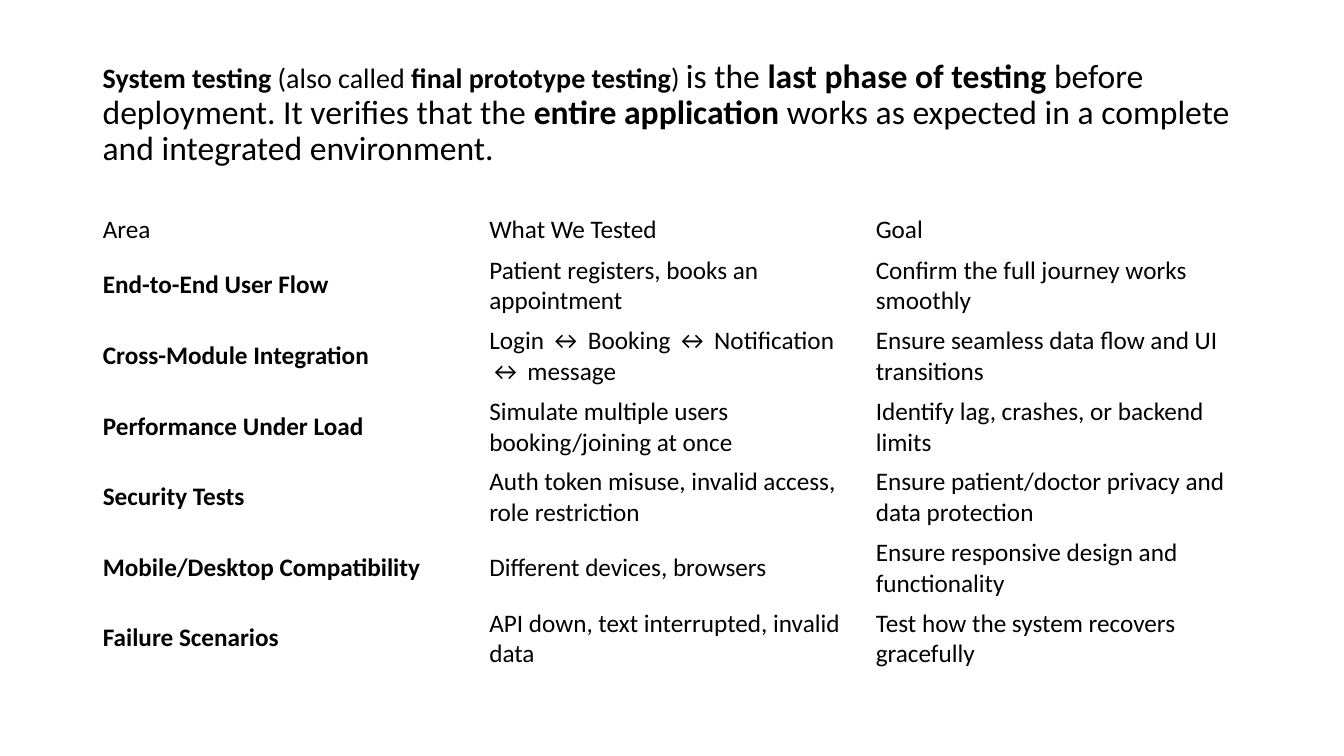
from pptx import Presentation
from pptx.dml.color import RGBColor
from pptx.enum.text import MSO_ANCHOR as Anchor
from pptx.util import Inches, Pt

COLORS = {"text": "000000"}
FONT = "Calibri"
LEFT, WIDTH = 0.92, 11.5
HEADER_HEIGHT, AREA_HEIGHT = 0.38, 0.66

INTRO = [  # text, size, bold
    ("System testing", 20, True),
    (" (also called ", 20, False),
    ("final prototype testing", 20, True),
    (") ", 20, False),
    ("is the ", 24, False),
    ("last phase of testing", 24, True),
    (" before deployment. It verifies that the ", 24, False),
    ("entire application", 24, True),
    (" works as expected in a complete and integrated environment.", 24, False),
]
TEST_AREAS = [
    ("Area", "What We Tested", "Goal"),
    ("End-to-End User Flow", "Patient registers, books an appointment",
     "Confirm the full journey works smoothly"),
    ("Cross-Module Integration", "Login ↔ Booking ↔ Notification ↔ message",
     "Ensure seamless data flow and UI transitions"),
    ("Performance Under Load", "Simulate multiple users booking/joining at once",
     "Identify lag, crashes, or backend limits"),
    ("Security Tests", "Auth token misuse, invalid access, role restriction",
     "Ensure patient/doctor privacy and data protection"),
    ("Mobile/Desktop Compatibility", "Different devices, browsers",
     "Ensure responsive design and functionality"),
    ("Failure Scenarios", "API down, text interrupted, invalid data",
     "Test how the system recovers gracefully"),
]


def style(font, size, bold):
    font.name, font.size, font.bold = FONT, Pt(size), bold
    font.color.rgb = RGBColor.from_string(COLORS["text"])


deck = Presentation()
deck.slide_width, deck.slide_height = Inches(13.33), Inches(7.5)
slide = deck.slides.add_slide(deck.slide_layouts[6])

# Introduction
intro = slide.shapes.add_textbox(
    Inches(LEFT), Inches(0.4), Inches(WIDTH), Inches(1.45)).text_frame
intro.word_wrap = True
intro.vertical_anchor = Anchor.MIDDLE
sentence = intro.paragraphs[0]
sentence.line_spacing = 0.9
for words, size, bold in INTRO:
    run = sentence.add_run()
    run.text = words
    style(run.font, size, bold)

# Table of test areas, without banding or fills
row_count, column_count = len(TEST_AREAS), len(TEST_AREAS[0])
table_height = HEADER_HEIGHT + (row_count - 1) * AREA_HEIGHT
areas = slide.shapes.add_table(
    row_count, column_count, Inches(LEFT), Inches(2.08),
    Inches(WIDTH), Inches(table_height)).table
areas.first_row = areas.horz_banding = False
for r, entries in enumerate(TEST_AREAS):
    areas.rows[r].height = Inches(AREA_HEIGHT if r else HEADER_HEIGHT)
    for c, entry in enumerate(entries):
        cell = areas.cell(r, c)
        cell.text = entry
        cell.fill.background()
        cell.vertical_anchor = Anchor.MIDDLE
        style(cell.text_frame.paragraphs[0].font, 18, r > 0 and c == 0)

deck.save("out.pptx")
